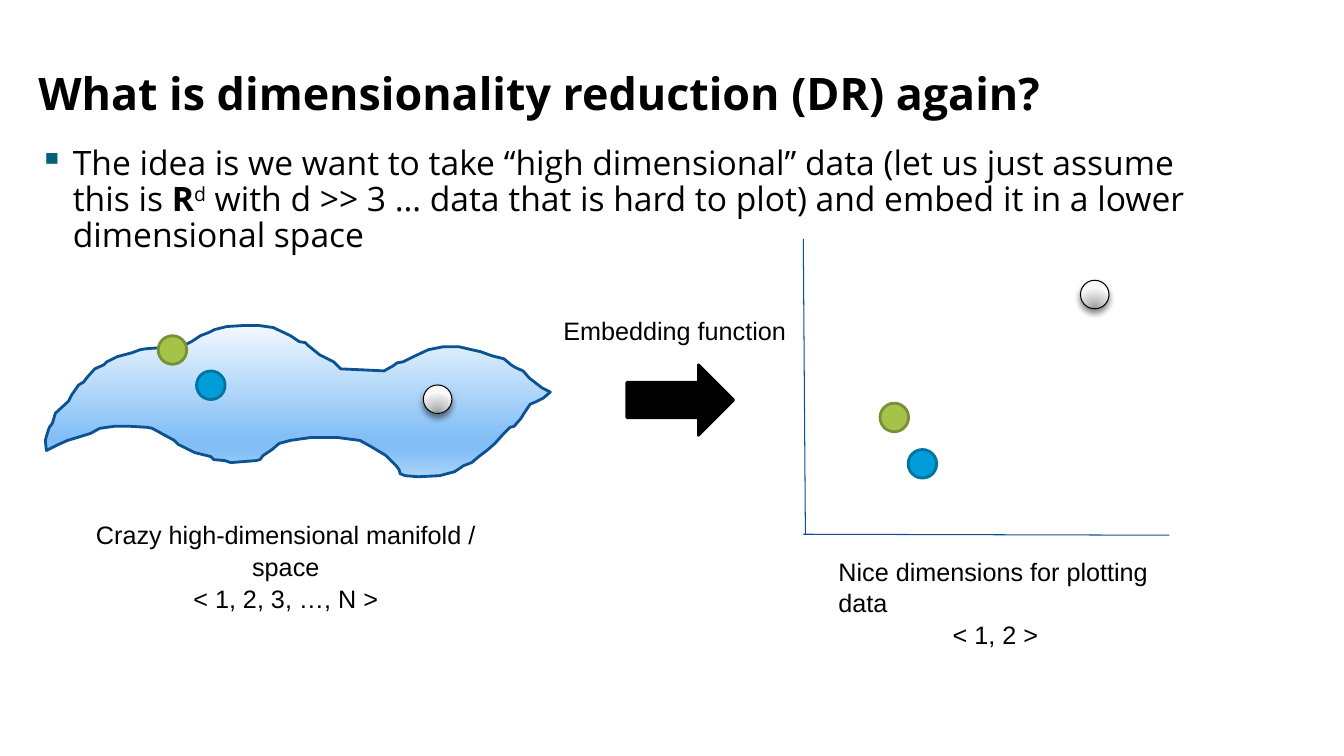
from dataclasses import dataclass

from lxml.etree import SubElement
from pptx import Presentation
from pptx.dml.color import RGBColor
from pptx.enum.shapes import MSO_CONNECTOR, MSO_SHAPE
from pptx.enum.text import MSO_ANCHOR, PP_ALIGN
from pptx.oxml import parse_xml
from pptx.oxml.ns import nsdecls, qn
from pptx.shapes.autoshape import Shape
from pptx.slide import Slide
from pptx.text.text import TextFrame
from pptx.util import Pt

COLORS = {
    "black": "000000",
    "bullet": "04617B",
    "outline": "0B5292",
    "axis": "095295",
    "blue": "009DD9",
    "blue_line": "0074A1",
    "green": "A5C249",
    "green_line": "7A9036",
}
MANIFOLD_STOPS = [(0, "F1F8FE"), (74, "83BFF6"), (83, "83BFF6"), (100, "ACD4F9")]
SPHERE_STOPS = [(0, "979797"), (43, "C6C6C6"), (93, "EEEEEE"), (100, "F9F9F9")]
DOWNWARD = '<a:lin ang="5400000" scaled="0"/>'
RADIAL = '<a:path path="circle"><a:fillToRect l="50000" t="130000" r="50000" b="-30000"/></a:path>'
DOT_SIZE = 20.4
OUTLINE_UNIT = Pt(0.72)
MANIFOLD_OUTLINE = [
    (46, 447), (58, 441), (67, 437), (77, 434), (90, 430), (99, 425), (113, 423),
    (130, 423), (146, 424), (151, 425), (162, 431), (173, 437), (177, 441), (193, 449),
    (209, 453), (212, 456), (223, 457), (229, 459), (254, 457), (258, 456), (261, 452),
    (270, 446), (277, 440), (288, 437), (309, 434), (334, 434), (357, 437), (368, 443),
    (383, 452), (393, 462), (396, 466), (397, 470), (402, 472), (415, 473), (436, 472),
    (451, 468), (460, 462), (468, 459), (475, 453), (483, 447), (491, 440), (500, 430),
    (506, 424), (510, 423), (517, 415), (520, 410), (526, 401), (531, 399), (539, 395),
    (546, 389), (538, 385), (525, 375), (519, 368), (512, 365), (507, 362), (500, 356),
    (488, 353), (477, 349), (468, 347), (455, 344), (440, 344), (425, 347), (410, 354),
    (400, 359), (394, 360), (390, 363), (381, 368), (360, 367), (338, 366), (331, 359),
    (317, 352), (306, 343), (303, 340), (297, 339), (288, 333), (271, 325), (257, 323),
    (241, 323), (225, 324), (213, 327), (207, 330), (199, 333), (190, 339), (186, 341),
    (173, 344), (145, 346), (139, 347), (131, 350), (116, 354), (106, 359), (103, 362),
    (94, 366), (86, 375), (83, 379), (78, 382), (71, 392), (68, 398), (55, 410),
    (52, 420), (49, 424), (46, 433), (45, 437),
]


@dataclass
class Dot:
    left: float
    top: float
    color: str


@dataclass
class Axis:
    start: tuple[float, float]
    end: tuple[float, float]


@dataclass
class Label:
    lines: list[str]
    left: float
    top: float
    width: float
    height: float
    alignments: list[PP_ALIGN]


DOTS = [
    Dot(302.4, 275, "sphere"),
    Dot(140.4, 265, "blue"),
    Dot(113, 239.8, "green"),
    Dot(771.8, 200.2, "sphere"),
    Dot(648.7, 321.1, "blue"),
    Dot(628.6, 288, "green"),
]
AXES = [Axis((573.8, 170.6), (575.3, 382.3)), Axis((835.2, 382.3), (573.8, 381.6))]
LABELS = [
    Label(["Crazy high-dimensional manifold / space", "< 1, 2, 3, …, N >"],
          47.5, 366.5, 313.2, 51.1, [PP_ALIGN.CENTER, PP_ALIGN.CENTER]),
    Label(["Nice dimensions for plotting data", "< 1, 2 >"],
          591.8, 392.4, 238.3, 51.1, [PP_ALIGN.LEFT, PP_ALIGN.CENTER]),
    Label(["Embedding function"], 395.3, 220.3, 180, 28.8, [PP_ALIGN.LEFT]),
]
IDEA_SPANS = [
    "The idea is we want to take “high dimensional” data (let us just assume this is ",
    "R",
    "d",
    " with d >> 3 … data that is hard to plot) and embed it in a lower dimensional space",
]


def rgb(name: str) -> RGBColor:
    return RGBColor.from_string(COLORS[name])


def set_insets(frame: TextFrame, bottom: float = 0, top: float = 0) -> None:
    frame.margin_left = frame.margin_right = Pt(0)
    frame.margin_top, frame.margin_bottom = Pt(top), Pt(bottom)


def style_shape(shape: Shape, line: str, width: float, fill: str | None = None) -> None:
    shape.shadow.inherit = False
    shape.line.color.rgb = rgb(line)
    shape.line.width = Pt(width)
    if fill:
        shape.fill.solid()
        shape.fill.fore_color.rgb = rgb(fill)


def fill_gradient(shape: Shape, stops: list[tuple[int, str]], direction: str) -> None:
    shape.fill.background()
    stop_xml = "".join(
        f'<a:gs pos="{position * 1000}"><a:srgbClr val="{color}"/></a:gs>'
        for position, color in stops
    )
    gradient = parse_xml(
        f'<a:gradFill {nsdecls("a")} rotWithShape="1">'
        f"<a:gsLst>{stop_xml}</a:gsLst>{direction}</a:gradFill>"
    )
    properties = shape._element.spPr
    properties.replace(properties.find(qn("a:noFill")), gradient)


def add_title(slide: Slide) -> None:
    title = slide.shapes.title
    title.left, title.top, title.width, title.height = Pt(27.4), Pt(17.3), Pt(815.8), Pt(68.4)
    frame = title.text_frame
    frame.text = "What is dimensionality reduction (DR) again?"
    frame.vertical_anchor = MSO_ANCHOR.BOTTOM
    set_insets(frame, top=3.6)
    para = frame.paragraphs[0]
    para.alignment = PP_ALIGN.LEFT
    font = para.runs[0].font
    font.name, font.size, font.bold = "Open Sans", Pt(32), True
    font.color.rgb = rgb("black")


def add_idea(slide: Slide) -> None:
    box = slide.shapes.add_textbox(Pt(28.1), Pt(105), Pt(828), Pt(342.7))
    frame = box.text_frame
    frame.word_wrap = True
    set_insets(frame)
    para = frame.paragraphs[0]
    para.line_spacing = 0.89
    properties = para._p.get_or_add_pPr()
    properties.set("marL", str(Pt(24)))
    properties.set("indent", str(Pt(-24)))
    bullet_color = SubElement(properties, qn("a:buClr"))
    SubElement(bullet_color, qn("a:srgbClr"), val=COLORS["bullet"])
    SubElement(properties, qn("a:buChar"), char="▪")
    for text in IDEA_SPANS:
        span = para.add_run()
        span.text = text
        span.font.name, span.font.size = "Open Sans", Pt(24)
        span.font.color.rgb = rgb("black")
    para.runs[1].font.bold = True
    para.runs[2].font._element.set("baseline", "30000")


def add_manifold(slide: Slide) -> None:
    builder = slide.shapes.build_freeform(*MANIFOLD_OUTLINE[0], scale=OUTLINE_UNIT)
    builder.add_line_segments(MANIFOLD_OUTLINE[1:], close=True)
    manifold = builder.convert_to_shape()
    style_shape(manifold, "outline", 2)
    fill_gradient(manifold, MANIFOLD_STOPS, DOWNWARD)


def add_dot(slide: Slide, dot: Dot) -> None:
    shape = slide.shapes.add_shape(
        MSO_SHAPE.OVAL, Pt(dot.left), Pt(dot.top), Pt(DOT_SIZE), Pt(DOT_SIZE))
    if dot.color != "sphere":
        style_shape(shape, f"{dot.color}_line", 2, dot.color)
        return
    style_shape(shape, "black", 0.75)
    fill_gradient(shape, SPHERE_STOPS, RADIAL)
    effects = shape._element.spPr.find(qn("a:effectLst"))
    shadow = SubElement(effects, qn("a:outerShdw"), blurRad=str(Pt(4.5)),
                        dist=str(Pt(3)), dir="5400000", rotWithShape="0")
    shade = SubElement(shadow, qn("a:srgbClr"), val=COLORS["black"])
    SubElement(shade, qn("a:alpha"), val="48000")


def add_axis(slide: Slide, axis: Axis) -> None:
    line = slide.shapes.add_connector(
        MSO_CONNECTOR.STRAIGHT, *(Pt(value) for value in axis.start + axis.end))
    line.line.color.rgb = rgb("axis")
    line.line.width = Pt(0.75)
    SubElement(line._element.spPr, qn("a:effectLst"))


def add_label(slide: Slide, label: Label) -> None:
    box = slide.shapes.add_textbox(
        Pt(label.left), Pt(label.top), Pt(label.width), Pt(label.height))
    frame = box.text_frame
    frame.word_wrap = True
    frame.text = "\n".join(label.lines)
    for para, alignment in zip(frame.paragraphs, label.alignments):
        para.alignment = alignment
        para.line_spacing = 1.05
        font = para.runs[0].font
        font.name, font.size = "Arial", Pt(18)
        font.color.rgb = rgb("black")


def main() -> None:
    deck = Presentation()
    deck.slide_width, deck.slide_height = Pt(960), Pt(540)
    page = deck.slides.add_slide(deck.slide_layouts[5])
    add_title(page)
    add_idea(page)
    add_manifold(page)
    for dot in DOTS:
        add_dot(page, dot)
    for axis in AXES:
        add_axis(page, axis)
    arrow = page.shapes.add_shape(
        MSO_SHAPE.RIGHT_ARROW, Pt(447.8), Pt(260.6), Pt(76.3), Pt(50.4))
    style_shape(arrow, "black", 2, "black")
    for label in LABELS:
        add_label(page, label)
    deck.save("out.pptx")


if __name__ == "__main__":
    main()
